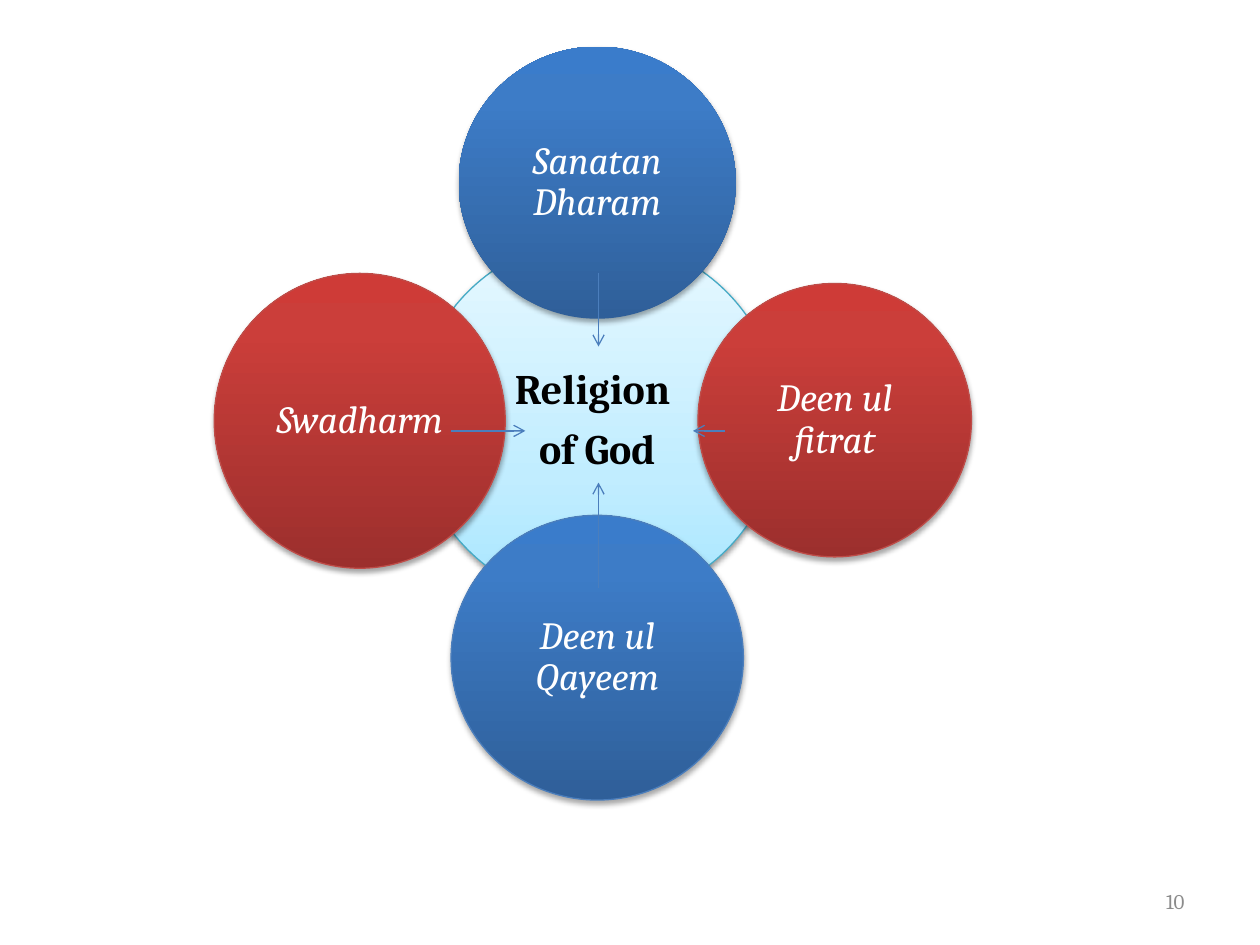
"""Build a slide of four named faiths pointing to the Religion of God."""
from copy import deepcopy

from pptx import Presentation
from pptx.dml.color import RGBColor
from pptx.enum.shapes import MSO_CONNECTOR, MSO_SHAPE
from pptx.enum.text import MSO_ANCHOR, PP_ALIGN
from pptx.oxml import parse_xml
from pptx.oxml.ns import nsdecls
from pptx.util import Inches, Pt

OVAL = MSO_SHAPE.OVAL
STRAIGHT = MSO_CONNECTOR.STRAIGHT
MIDDLE = MSO_ANCHOR.MIDDLE
CENTER = PP_ALIGN.CENTER
RIGHT = PP_ALIGN.RIGHT

FONT = "Cambria"
BLACK = RGBColor(0x00, 0x00, 0x00)
WHITE = RGBColor(0xFF, 0xFF, 0xFF)
GREY = RGBColor(0x8C, 0x8C, 0x8C)
TEAL_EDGE = RGBColor(0x46, 0xAA, 0xC5)
BLUE_EDGE = RGBColor(0x4B, 0x7E, 0xBC)
RED_EDGE = RGBColor(0xBF, 0x4C, 0x48)
AQUA = [(0, RGBColor(0xA7, 0xE6, 0xFF)), (0.35, RGBColor(0xC1, 0xED, 0xFF)),
        (1, RGBColor(0xE7, 0xF8, 0xFF))]
BLUE = [(0, RGBColor(0x2F, 0x5F, 0x99)), (0.8, RGBColor(0x3D, 0x7C, 0xC7)),
        (1, RGBColor(0x3A, 0x7C, 0xCB))]
RED = [(0, RGBColor(0x9C, 0x2F, 0x2D)), (0.8, RGBColor(0xCB, 0x3E, 0x3A)),
       (1, RGBColor(0xCE, 0x3B, 0x37))]

prs = Presentation()
prs.slide_width, prs.slide_height = Inches(10), Inches(7.5)
slide = prs.slides.add_slide(prs.slide_layouts[6])
COLUMN = prs.slide_width / 100
ROW = prs.slide_height / 75


def on_grid(x, y, across, down):
    """Turn columns and rows into slide lengths."""
    return round(x * COLUMN), round(y * ROW), round(across * COLUMN), round(down * ROW)


def add_circle(place, lines, stops, edge, size, color, shadow):
    """Add a shaded circle with its name inside."""
    circle = slide.shapes.add_shape(OVAL, *on_grid(*place))
    circle.fill.gradient()
    circle.fill.gradient_angle = 90
    stop_list = circle._element.xpath(".//a:gsLst")[0]
    stop_list.append(deepcopy(stop_list[-1]))
    for stop, (position, shade) in zip(circle.fill.gradient_stops, stops):
        stop.position = position
        stop.color.rgb = shade
    if edge is None:
        circle.line.fill.background()
    else:
        circle.line.color.rgb = edge
        circle.line.width = Pt(0.75)

    alpha, distance = shadow
    circle.shadow.inherit = False
    circle._element.spPr.xpath("a:effectLst")[0].append(parse_xml(
        f'<a:outerShdw {nsdecls("a")} blurRad="{Pt(3.1)}" dist="{Pt(distance)}" '
        f'dir="5400000" rotWithShape="0"><a:srgbClr val="000000">'
        f'<a:alpha val="{alpha * 1000}"/></a:srgbClr></a:outerShdw>'))

    frame = circle.text_frame
    frame.word_wrap = True
    frame.vertical_anchor = MIDDLE
    frame.margin_left = frame.margin_right = Inches(0.03)
    frame.margin_top = frame.margin_bottom = Inches(0.03)
    frame.text = lines
    for paragraph in frame.paragraphs:
        paragraph.alignment = CENTER
        paragraph.line_spacing = 0.9
        paragraph.space_after = Pt(size * 0.35)
        paragraph.font.name = FONT
        paragraph.font.size = Pt(size)
        paragraph.font.color.rgb = color
    return frame


center = add_circle((32.9, 18.9, 29, 29), "Religion \nof God", AQUA, TEAL_EDGE,
                    24, BLACK, (38, 1.6))
for paragraph in center.paragraphs:
    paragraph.font.bold = True

faiths = [
    ("Sanatan Dharam", (36.4, 3.7, 22, 21.6), BLUE, None),
    ("Deen ul fitrat", (55.4, 22.5, 21.7, 21.7), RED, RED_EDGE),
    ("Deen ul Qayeem", (35.8, 40.9, 23.2, 22.6), BLUE, BLUE_EDGE),
    ("Swadharm", (17, 21.7, 23.1, 23.4), RED, RED_EDGE),
]
for faith, place, stops, edge in faiths:
    label = add_circle(place, faith, stops, edge, 22, WHITE, (35, 1.8))
    label.paragraphs[0].font.italic = True

inward_arrows = [
    (47.5, 21.7, 47.5, 27.5),
    (47.5, 46.7, 47.5, 38.3),
    (57.5, 34.2, 55, 34.2),
    (35.8, 34.2, 41.7, 34.2),
]
for ends in inward_arrows:
    arrow = slide.shapes.add_connector(STRAIGHT, *on_grid(*ends))
    arrow.line.color.rgb = BLUE_EDGE
    arrow.line.width = Pt(0.75)
    arrow.line._get_or_add_ln().append(
        parse_xml(f'<a:tailEnd {nsdecls("a")} type="arrow"/>'))
    arrow._element.spPr.append(parse_xml(f'<a:effectLst {nsdecls("a")}/>'))

page_number = slide.shapes.add_textbox(*on_grid(71.7, 69.5, 23.3, 4)).text_frame
page_number.word_wrap = True
page_number.vertical_anchor = MIDDLE
page_number.text = "10"
number_line = page_number.paragraphs[0]
number_line.alignment = RIGHT
number_line.font.name = FONT
number_line.font.size = Pt(12)
number_line.font.color.rgb = GREY

prs.save("out.pptx")
